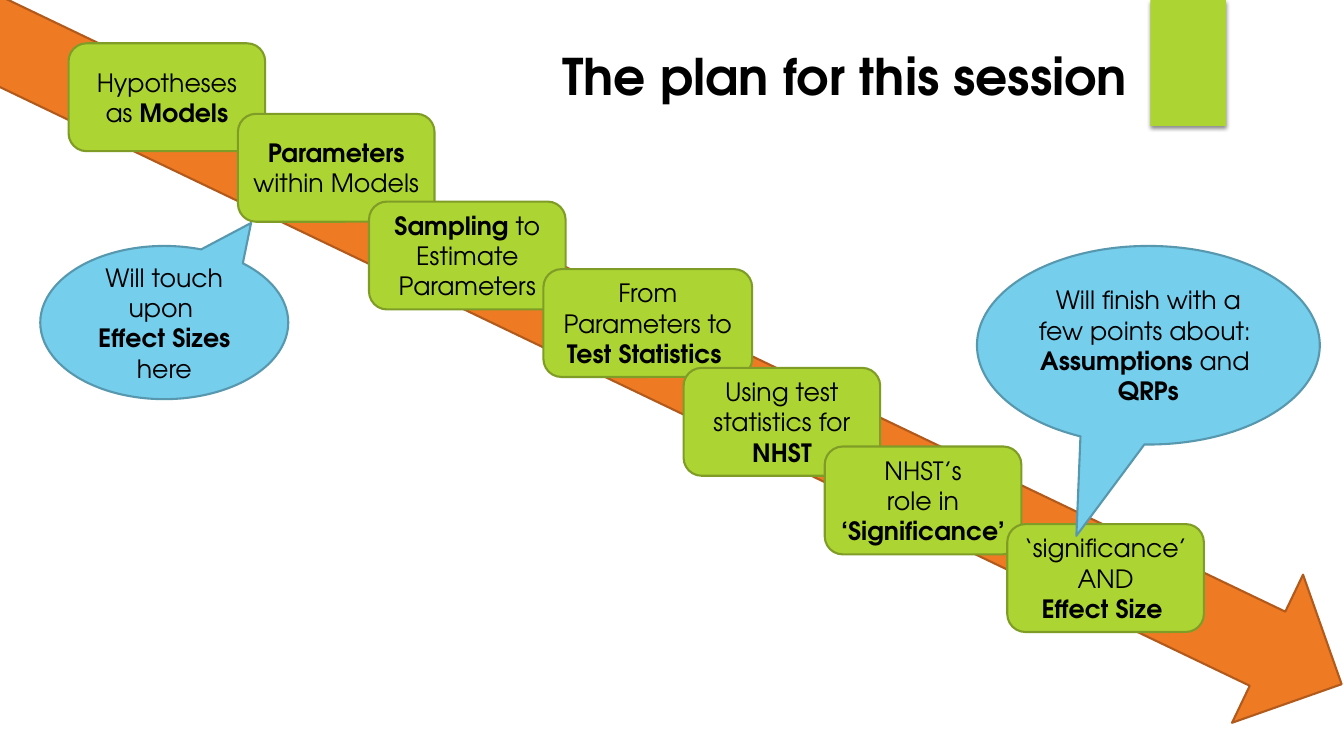
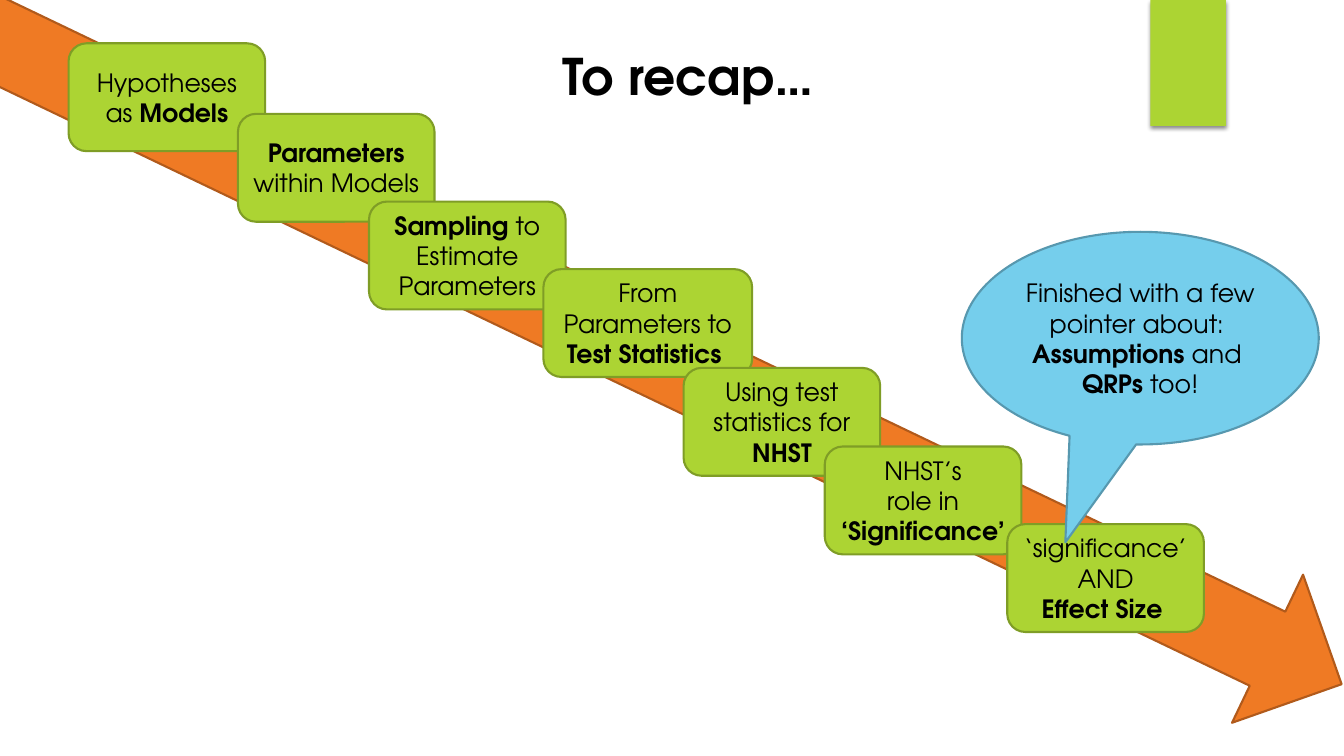
from dataclasses import dataclass

from lxml import etree
from pptx import Presentation
from pptx.dml.color import RGBColor
from pptx.enum import shapes, text
from pptx.oxml import ns
from pptx.shapes import autoshape, shapetree
from pptx.slide import Slide
from pptx.util import Inches, Pt

# Shared style
FONT = "TeX Gyre Adventor"
BLACK = "000000"
GREEN, GREEN_EDGE = "ACD433", "7F9D26"
ORANGE, ORANGE_EDGE = "EF7A24", "B15A1B"
BLUE, BLUE_EDGE = "75CEEC", "5798AF"
BODY_SIZE, TITLE_SIZE = 18, 36
STEP_HEIGHT = 1.07
PRESET = shapes.MSO_SHAPE


@dataclass(frozen=True)
class Step:
    left: float
    top: float
    wording: str  # *bold* parts, one line per paragraph
    width: float = 1.95


@dataclass(frozen=True)
class Callout:
    box: tuple[float, float, float, float]
    tip: tuple[float, float]
    wording: str


@dataclass(frozen=True)
class Stage:
    title: str
    callouts: tuple[Callout, ...]


# Content
STEPS = (
    Step(0.68, 0.43, "Hypotheses as *Models*"),
    Step(2.36, 1.13, "*Parameters *within Models"),
    Step(3.66, 2.0, "*Sampling *to Estimate Parameters"),
    Step(5.39, 2.67, "From Parameters to *Test Statistics *", 2.07),
    Step(6.78, 3.65, "Using test statistics for *NHST*"),
    Step(8.18, 4.43, "NHST’s\nrole in\n*‘Significance’*"),
    Step(9.99, 5.2, "‘significance’\nAND\n*Effect Size *"),
)
CLOSING_TIP = (-0.21, 0.96)
STAGES = (
    Stage("The plan for this session", (
        Callout((0.4, 2.44, 2.46, 1.52), (0.35, -0.65),
                "Will touch upon \n*Effect Sizes *here"),
        Callout((9.69, 2.44, 3.4, 1.97), CLOSING_TIP,
                "Will finish with a few points about: \n*Assumptions *and \n*QRPs*"),
    )),
    Stage("To recap…", (
        Callout((9.54, 2.3, 3.54, 2.11), CLOSING_TIP,
                "Finished with a few pointer about: \n*Assumptions *and \n*QRPs *too!"),
    )),
)


def rgb(hex_color: str) -> RGBColor:
    return RGBColor.from_string(hex_color)


def write(frame: text, wording: str, size: int, align: text.PP_ALIGN) -> None:
    """Fill a text frame; parts between asterisks become bold."""
    frame.word_wrap = True
    for row, line in enumerate(wording.split("\n")):
        paragraph = frame.paragraphs[0] if row == 0 else frame.add_paragraph()
        paragraph.alignment = align
        for index, part in enumerate(line.split("*")):
            if not part:
                continue
            run = paragraph.add_run()
            run.text = part
            font_format = {"name": FONT, "size": Pt(size), "bold": index % 2 == 1}
            for attribute, value in font_format.items():
                setattr(run.font, attribute, value)
            run.font.color.rgb = rgb(BLACK)


def add_preset(parent: shapetree.SlideShapes | shapetree.GroupShapes,
               preset: PRESET, box: tuple[float, float, float, float],
               fill: str, edge: str | None = None,
               wording: str = "") -> autoshape.Shape:
    shape = parent.add_shape(preset, *map(Inches, box))
    shape.shadow.inherit = False
    shape.fill.solid()
    shape.fill.fore_color.rgb = rgb(fill)
    if edge:
        shape.line.color.rgb = rgb(edge)
        shape.line.width = Pt(1.5)
    else:
        shape.line.fill.background()
    if wording:
        write(shape.text_frame, wording, BODY_SIZE, text.PP_ALIGN.CENTER)
    return shape


def add_tab(slide: Slide) -> None:
    """Green tab at the top edge, with a soft shadow below it."""
    tab = add_preset(slide.shapes, PRESET.RECTANGLE, (11.41, 0, 0.75, 1.25), GREEN)
    effects = tab.element.spPr.find(ns.qn("a:effectLst"))
    shadow = etree.SubElement(effects, ns.qn("a:outerShdw"), blurRad=str(Pt(3)),
                              dist=str(Pt(2)), dir="5400000", rotWithShape="0")
    color = etree.SubElement(shadow, ns.qn("a:srgbClr"), val=BLACK)
    etree.SubElement(color, ns.qn("a:alpha"), val="45000")


def add_callout(slide: Slide, callout: Callout) -> None:
    bubble = add_preset(slide.shapes, PRESET.OVAL_CALLOUT, callout.box,
                        BLUE, BLUE_EDGE, callout.wording)
    for index, offset in enumerate(callout.tip):
        bubble.adjustments[index] = offset


def add_title(slide: Slide, title: str) -> None:
    heading = slide.shapes.add_textbox(*map(Inches, (5.48, 0.4, 6.01, 0.71)))
    write(heading.text_frame, f"*{title}*", TITLE_SIZE, text.PP_ALIGN.LEFT)
    heading.text_frame.auto_size = text.MSO_AUTO_SIZE.SHAPE_TO_FIT_TEXT


def add_stage(deck: Presentation, stage: Stage) -> None:
    slide = deck.slides.add_slide(deck.slide_layouts[6])
    add_tab(slide)

    # Path running down the slide
    path_arrow = add_preset(slide.shapes, PRESET.RIGHT_ARROW,
                            (-1.1, 2.7, 15.15, 1.63), ORANGE, ORANGE_EDGE)
    path_arrow.rotation = 25.6

    # Steps along the path
    staircase = slide.shapes.add_group_shape()
    for step in STEPS:
        add_preset(staircase.shapes, PRESET.ROUNDED_RECTANGLE,
                   (step.left, step.top, step.width, STEP_HEIGHT),
                   GREEN, GREEN_EDGE, step.wording)

    # Remarks and title
    for callout in stage.callouts:
        add_callout(slide, callout)
    add_title(slide, stage.title)


def main() -> None:
    deck = Presentation()
    deck.slide_width, deck.slide_height = Inches(13.33), Inches(7.5)
    for stage in STAGES:
        add_stage(deck, stage)
    deck.save("out.pptx")


if __name__ == "__main__":
    main()
